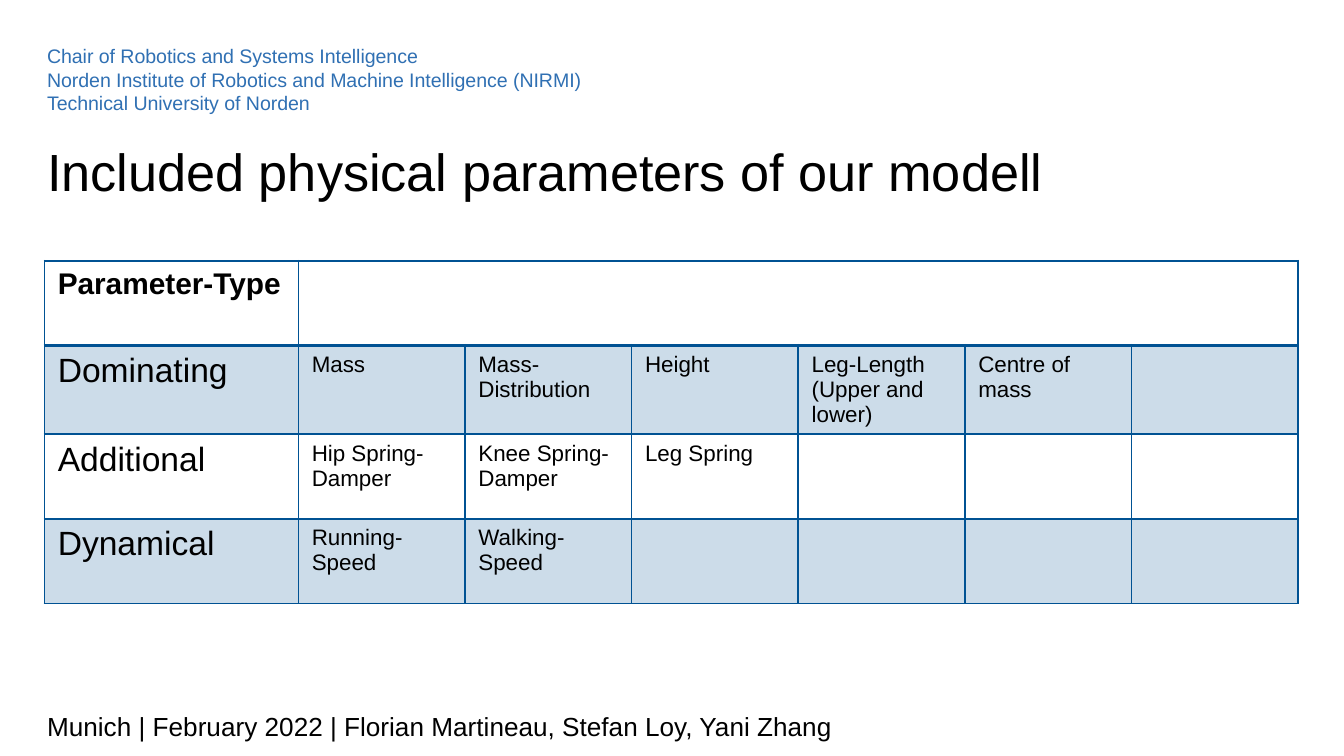
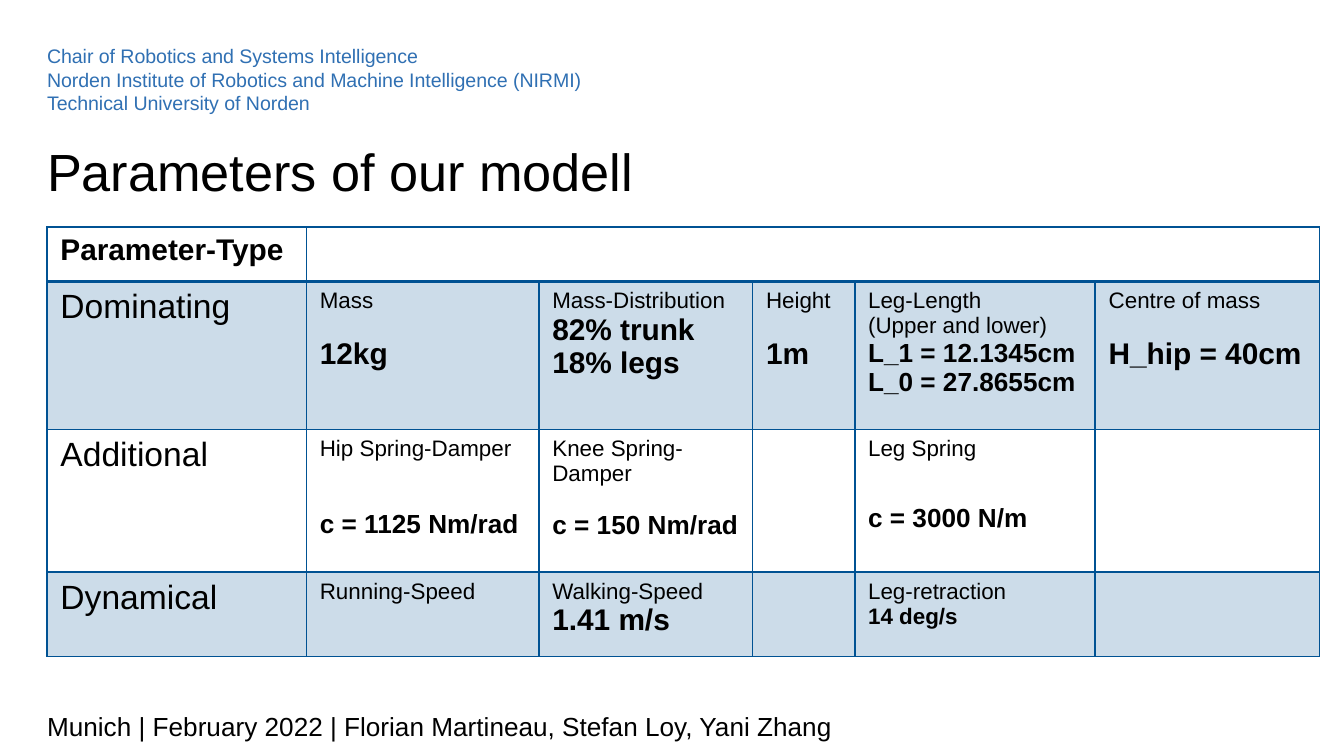
from lxml import etree
from pptx import Presentation
from pptx.dml.color import RGBColor
from pptx.enum.text import MSO_ANCHOR as Anchor, MSO_AUTO_SIZE as AutoSize, PP_ALIGN as Align
from pptx.oxml.ns import qn
from pptx.util import Inches, Pt

FONT = "Arial"
COLORS = {"text": "000000", "header": "3070B3", "table": "005293"}
BAND_ALPHA = 20  # percent
LABEL_SIZE = 12
LEFT = 0.35

HEADER = (
    "Chair of Robotics and Systems Intelligence\n"
    "Norden Institute of Robotics and Machine Intelligence (NIRMI)\n"
    "Technical University of Norden"
)
FOOTER = "Munich | February 2022 | Florian Martineau, Stefan Loy, Yani Zhang"
CORNER = "Parameter-Type"

# A parameter is its label, or (label, value, value size, points between them).
SLIDES = [
    {
        "title": "Included physical parameters of our modell",
        "place": (0.33, 1.94),
        "columns": [1.89] + [1.24] * 6,
        "row_heights": [0.63] * 4,
        "parameters": {
            "Dominating": ["Mass", "Mass-Distribution", "Height",
                           "Leg-Length\n(Upper and lower)", "Centre of mass", ""],
            "Additional": ["Hip Spring-Damper", "Knee Spring-Damper", "Leg Spring", "", "", ""],
            "Dynamical": ["Running-Speed", "Walking-Speed", "", "", "", ""],
        },
    },
    {
        "title": "Parameters of our modell",
        "place": (LEFT, 1.69),
        "columns": [1.93, 1.73, 1.59, 0.76, 1.79, 1.67],
        "row_heights": [0.4, 1.1, 1.06, 0.63],
        "parameters": {
            "Dominating": [
                ("Mass", "12kg", 16, 13),
                ("Mass-Distribution", "82% trunk\n18% legs", 16, 0),
                ("Height", "1m", 16, 13),
                ("Leg-Length\n(Upper and lower)", "L_1 = 12.1345cm\nL_0 = 27.8655cm", 14, 0),
                ("Centre of mass", "H_hip = 40cm", 16, 13),
            ],
            "Additional": [
                ("Hip Spring-Damper", "c = 1125 Nm/rad", 14, 26),
                ("Knee Spring-Damper", "c = 150 Nm/rad", 14, 13),
                "",
                ("Leg Spring", "c = 3000 N/m", 14, 23),
                "",
            ],
            "Dynamical": [
                "Running-Speed",
                ("Walking-Speed", "1.41 m/s", 16, 0),
                "",
                ("Leg-retraction", "14 deg/s", 12, 0),
                "",
            ],
        },
    },
]


def style(paragraph, size, color="text", bold=False):
    for run in paragraph.runs:
        run.font.name = FONT
        run.font.size = Pt(size)
        run.font.bold = bold
        run.font.color.rgb = RGBColor.from_string(COLORS[color])


def fill_frame(shape, text, size, color="text", anchor=Anchor.TOP, spacing=None):
    """Write text into a shape without margins."""
    frame = shape.text_frame
    frame.word_wrap = True
    frame.auto_size = AutoSize.NONE
    frame.vertical_anchor = anchor
    frame.margin_left = frame.margin_right = frame.margin_top = frame.margin_bottom = 0
    frame.text = text
    for paragraph in frame.paragraphs:
        paragraph.alignment = Align.LEFT
        paragraph.line_spacing = spacing
        style(paragraph, size, color)


def add_text(slide, place, *args, **kwargs):
    box = slide.shapes.add_textbox(*map(Inches, place))
    fill_frame(box, *args, **kwargs)


def set_borders(cell, top, bottom):
    """Draw all four borders; top and bottom are widths in points."""
    properties = cell._tc.get_or_add_tcPr()
    for side, width in (("L", 1), ("R", 1), ("T", top), ("B", bottom)):
        line = etree.SubElement(properties, qn("a:ln" + side), w=str(Pt(width)))
        solid = etree.SubElement(line, qn("a:solidFill"))
        etree.SubElement(solid, qn("a:srgbClr"), val=COLORS["table"])


def set_band(cell, banded):
    if not banded:
        cell.fill.background()
        return
    cell.fill.solid()
    cell.fill.fore_color.rgb = RGBColor.from_string(COLORS["table"])
    color = cell._tc.tcPr.find(qn("a:solidFill")).find(qn("a:srgbClr"))
    etree.SubElement(color, qn("a:alpha"), val=str(BAND_ALPHA * 1000))


def write_cell(cell, text, size, bold=False):
    cell.text_frame.text = text
    for paragraph in cell.text_frame.paragraphs:
        style(paragraph, size, bold=bold)


def write_parameter(cell, parameter):
    if isinstance(parameter, str):
        write_cell(cell, parameter, LABEL_SIZE)
        return
    label, value, size, gap = parameter
    write_cell(cell, label, LABEL_SIZE)
    for number, line in enumerate(value.split("\n")):
        paragraph = cell.text_frame.add_paragraph()
        paragraph.text = line
        paragraph.space_before = Pt(0 if number else gap)
        style(paragraph, size, bold=True)


def add_parameter_table(slide, content):
    columns, heights = content["columns"], content["row_heights"]
    extent = (*content["place"], sum(columns), sum(heights))
    table = slide.shapes.add_table(len(heights), len(columns), *map(Inches, extent)).table
    table.first_row = table.horz_banding = False
    for column, width in zip(table.columns, columns):
        column.width = Inches(width)
    for index, (row, height) in enumerate(zip(table.rows, heights)):
        row.height = Inches(height)
        for cell in row.cells:
            set_borders(cell, top=2 if index == 1 else 1, bottom=2 if index == 0 else 1)
            set_band(cell, index % 2 == 1)

    write_cell(table.cell(0, 0), CORNER, 16, bold=True)
    table.cell(0, 1).merge(table.cell(0, len(columns) - 1))
    for index, (kind, parameters) in enumerate(content["parameters"].items(), 1):
        write_cell(table.cell(index, 0), kind, 18)
        for column, parameter in enumerate(parameters, 1):
            write_parameter(table.cell(index, column), parameter)


def add_slide(deck, content):
    slide = deck.slides.add_slide(deck.slide_layouts[5])
    title = slide.shapes.title
    title.left, title.top, title.width, title.height = map(Inches, (LEFT, 1.06, 9.31, 0.42))
    fill_frame(title, content["title"], 28, spacing=Pt(32))
    add_parameter_table(slide, content)
    add_text(slide, (LEFT, 0.33, 4.15, 0.71), HEADER, 10.5, "header")
    add_text(slide, (LEFT, 5.2, 9.31, 0.32), FOOTER, 14, anchor=Anchor.BOTTOM, spacing=1.5)


def main():
    deck = Presentation()
    deck.slide_width = Inches(10)
    deck.slide_height = deck.slide_width * 9 // 16
    for content in SLIDES:
        add_slide(deck, content)
    deck.save("out.pptx")


if __name__ == "__main__":
    main()
